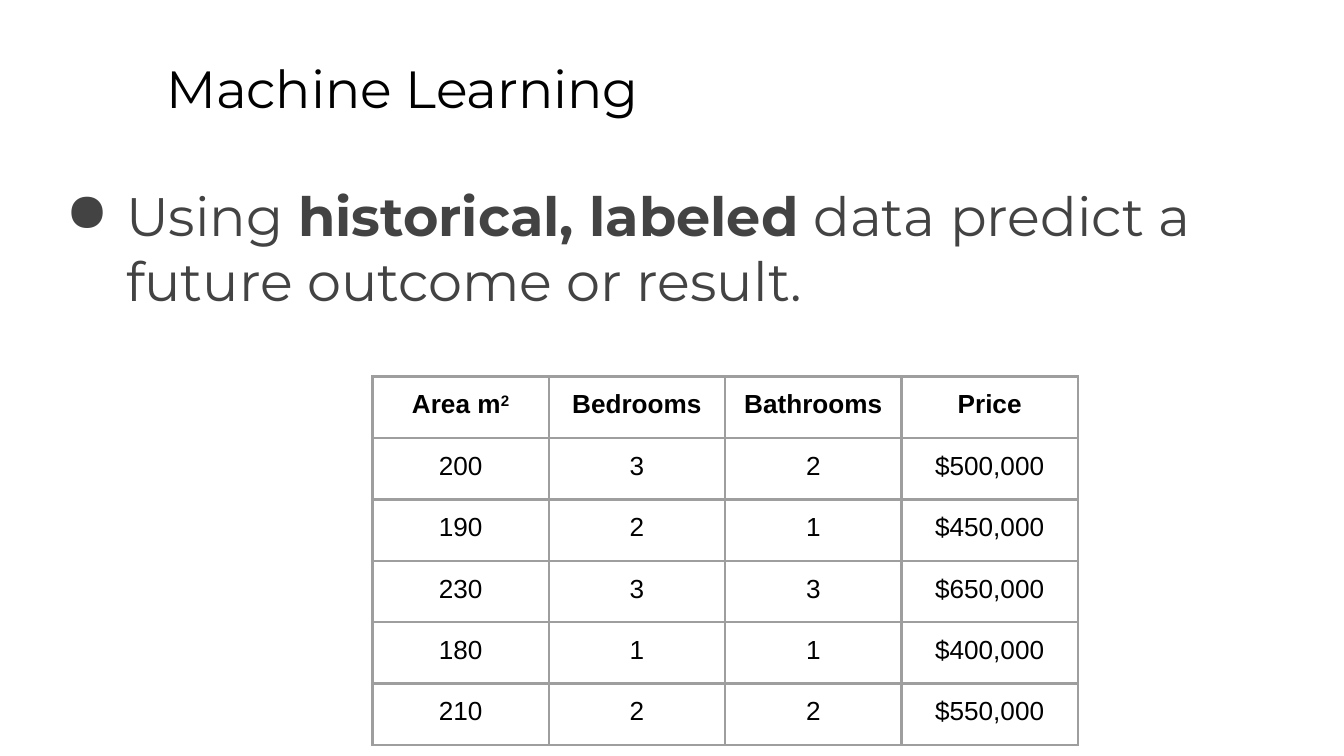
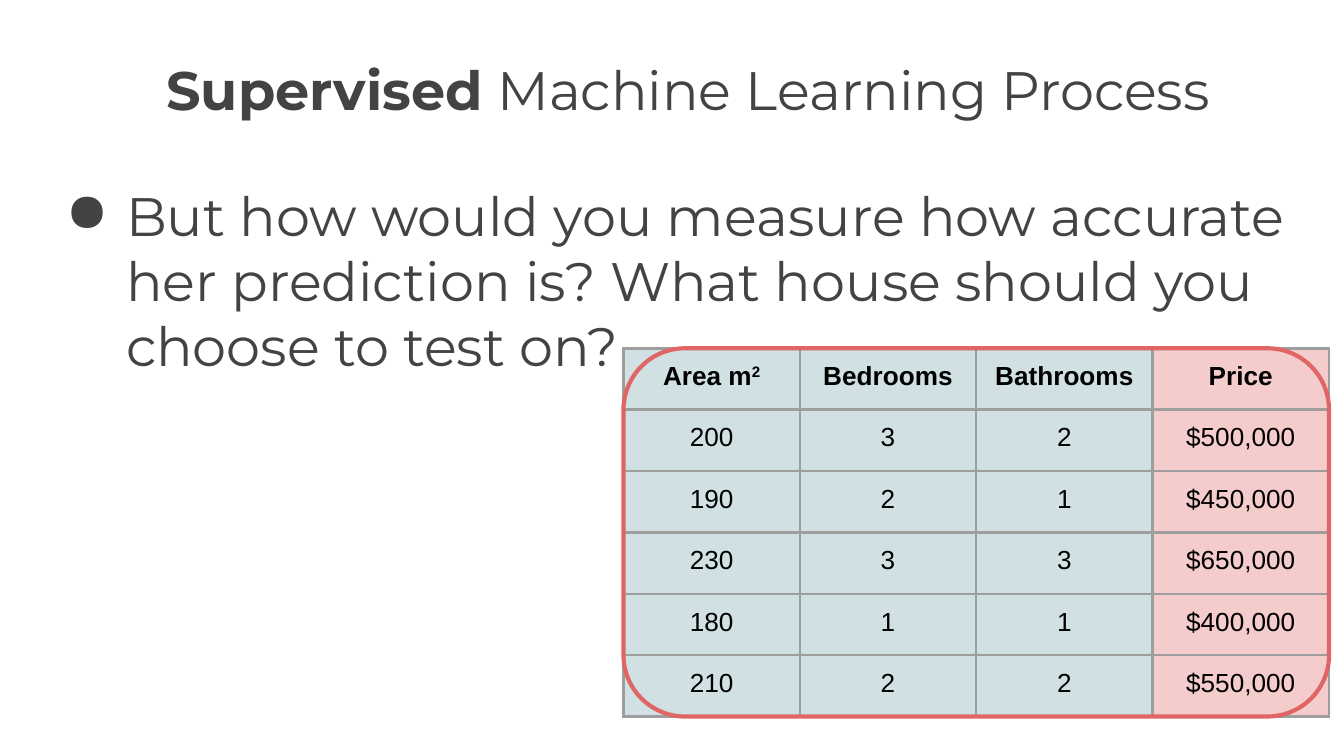
from lxml.etree import SubElement
from pptx import Presentation
from pptx.dml.color import RGBColor
from pptx.enum.shapes import MSO_SHAPE
from pptx.enum.text import PP_ALIGN
from pptx.oxml.ns import qn
from pptx.util import Pt

# Shared style
GREY, BLACK, RULE = "434343", "000000", "9E9E9E"
BLUE, PINK, RED = "D0E0E3", "F4CCCC", "E06666"
HEAD, CELL = "Montserrat", "Arial"
INSET = 7.2

# Boxes: left, top, width, height
TITLE = (82, 23, 613.5, 45.4)
BODY = (24.5, 90.7, 684, 269)
SIZE = (378, 197.3)

ROWS = [
    ("Area m", "Bedrooms", "Bathrooms", "Price"),
    ("200", "3", "2", "$500,000"),
    ("190", "2", "1", "$450,000"),
    ("230", "3", "3", "$650,000"),
    ("180", "1", "1", "$400,000"),
    ("210", "2", "2", "$550,000"),
]


def color(code):
    return RGBColor.from_string(code)


def style(para, name, size, code):
    para.font.name = name
    para.font.size = Pt(size)
    para.font.color.rgb = color(code)


def add_text(slide, box, runs, size, code):
    """Runs are pairs of text and bold."""
    frame = slide.shapes.add_textbox(*map(Pt, box)).text_frame
    frame.word_wrap = True
    frame.margin_left = frame.margin_right = Pt(INSET)
    frame.margin_top = frame.margin_bottom = Pt(INSET)
    para = frame.paragraphs[0]
    style(para, HEAD, size, code)
    for text, bold in runs:
        run = para.add_run()
        run.text = text
        run.font.bold = bold
    return para


def add_bullet(para, left, hang):
    props = para._p.get_or_add_pPr()
    props.set("marL", str(Pt(left)))
    props.set("indent", str(-Pt(hang)))
    tint = props.makeelement(qn("a:buClr"), {})
    SubElement(tint, qn("a:srgbClr"), val=GREY)
    mark = props.makeelement(qn("a:buChar"), {"char": "●"})
    # Bullet marks come before the default run style
    props.insert(0, tint)
    props.insert(1, mark)


def add_edges(cell):
    props = cell._tc.get_or_add_tcPr()
    for spot, side in enumerate(("lnL", "lnR", "lnT", "lnB")):
        edge = props.makeelement(qn("a:" + side), {"w": str(Pt(1.5))})
        fill = SubElement(edge, qn("a:solidFill"))
        SubElement(fill, qn("a:srgbClr"), val=RULE)
        props.insert(spot, edge)


def add_houses(slide, box, fills=None):
    """Table of houses; fills holds one colour per column."""
    rows, cols = len(ROWS), len(ROWS[0])
    table = slide.shapes.add_table(rows, cols, *map(Pt, box)).table
    table.first_row = table.horz_banding = False
    for col in table.columns:
        col.width = Pt(box[2] / cols)
    for r, row in enumerate(ROWS):
        table.rows[r].height = Pt(box[3] / rows)
        for c, text in enumerate(row):
            cell = table.cell(r, c)
            cell.margin_left = cell.margin_right = Pt(INSET)
            cell.margin_top = cell.margin_bottom = Pt(INSET)
            if fills:
                cell.fill.solid()
                cell.fill.fore_color.rgb = color(fills[c])
            else:
                cell.fill.background()
            add_edges(cell)
            para = cell.text_frame.paragraphs[0]
            para.alignment = PP_ALIGN.CENTER
            style(para, CELL, 14, BLACK)
            para.font.bold = r == 0
            para.add_run().text = text
    # Raised 2 of the square metres
    power = table.cell(0, 0).text_frame.paragraphs[0].add_run()
    power.text = "2"
    power.font._element.set("baseline", "30000")


def add_ring(slide, box):
    ring = slide.shapes.add_shape(MSO_SHAPE.ROUNDED_RECTANGLE, *map(Pt, box))
    ring.shadow.inherit = False
    ring.adjustments[0] = 0.167
    ring.fill.background()
    ring.line.color.rgb = color(RED)
    ring.line.width = Pt(2.25)


def add_page(deck, title, size, code, body):
    slide = deck.slides.add_slide(deck.slide_layouts[6])
    add_text(slide, TITLE, title, size, code)
    add_bullet(add_text(slide, BODY, body, 29, GREY), 36, 32.4)
    return slide


def main():
    deck = Presentation()
    deck.slide_width, deck.slide_height = Pt(720), Pt(405)

    # Slide 1: plain table
    slide = add_page(
        deck, [("Machine Learning", False)], 28, BLACK,
        [("Using ", False), ("historical, labeled", True),
         (" data predict a future outcome or result.", False)])
    add_houses(slide, (199.5, 201.8, *SIZE))

    # Slide 2: features and label in colour, all ringed
    slide = add_page(
        deck, [("Supervised", True), (" Machine Learning Process", False)],
        29, GREY,
        [("But how would you measure how accurate her prediction is? "
          "What house should you choose to test on?", False)])
    box = (334, 186.6, *SIZE)
    add_houses(slide, box, [BLUE] * 3 + [PINK])
    add_ring(slide, box)

    deck.save("out.pptx")


if __name__ == "__main__":
    main()
